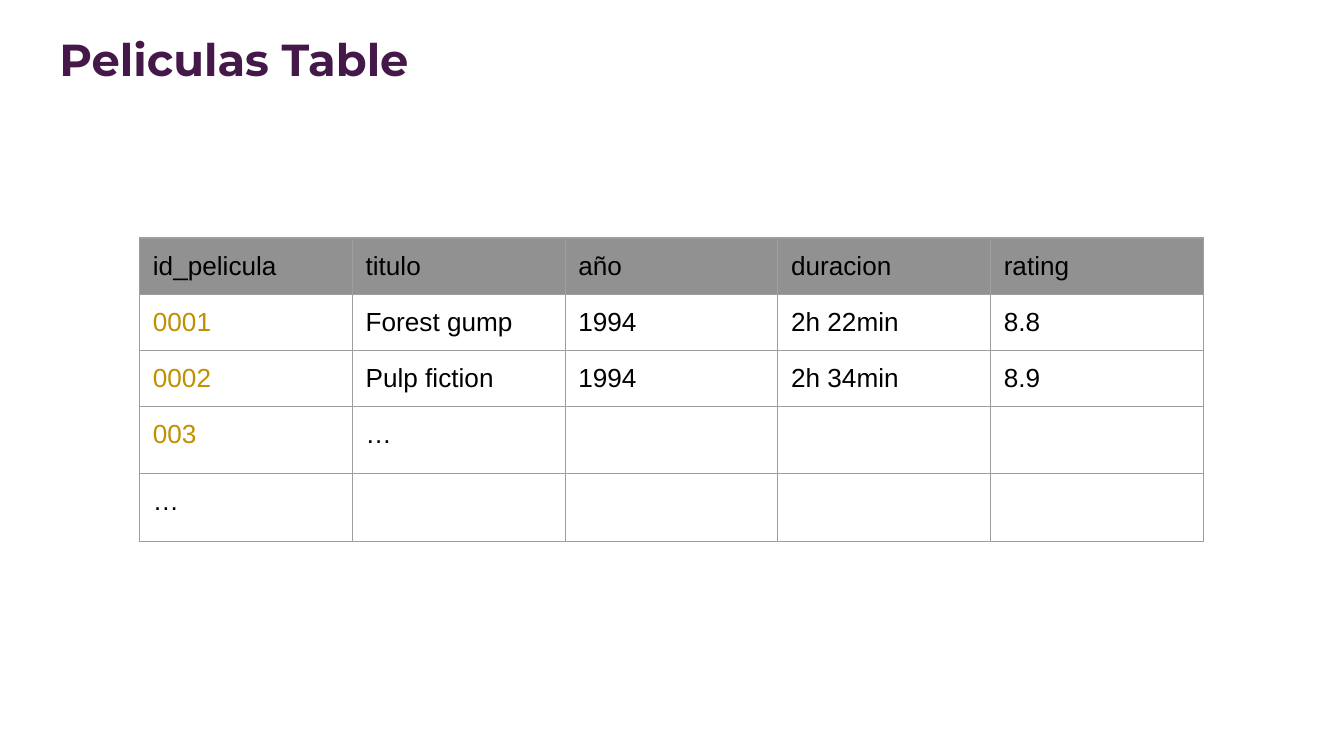
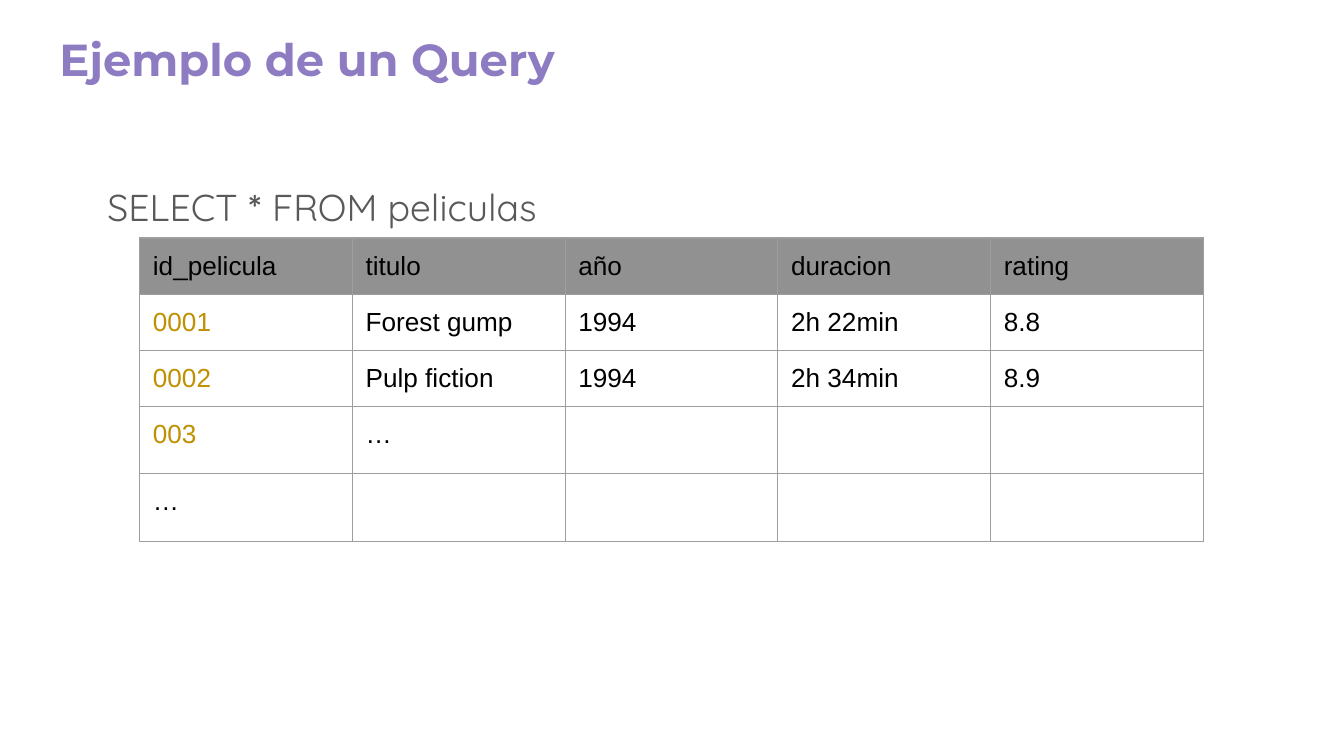
from lxml import etree
from pptx import Presentation
from pptx.dml.color import RGBColor
from pptx.enum.text import MSO_ANCHOR, MSO_AUTO_SIZE, PP_ALIGN
from pptx.oxml.ns import qn
from pptx.util import Cm, Pt

MIDDLE, TOP = MSO_ANCHOR.MIDDLE, MSO_ANCHOR.TOP
LEFT = PP_ALIGN.LEFT
NO_AUTOFIT = MSO_AUTO_SIZE.NONE

WHITE = RGBColor(0xFF, 0xFF, 0xFF)
BLACK = RGBColor(0x00, 0x00, 0x00)
PLUM = RGBColor(0x44, 0x18, 0x48)
LAVENDER = RGBColor(0x8E, 0x7C, 0xC3)
GREY_TEXT = RGBColor(0x59, 0x59, 0x59)
HEADER_GREY = RGBColor(0x43, 0x43, 0x43)
BORDER_GREY = RGBColor(0x9E, 0x9E, 0x9E)
GOLD = RGBColor(0xBF, 0x90, 0x00)

TITLE_FONT, BODY_FONT, TABLE_FONT = "Montserrat", "Quicksand", "Arial"
INSET = Cm(0.25)
HEADER_OPACITY = 58

TITLE_ONLY, TITLE_AND_BODY = 5, 1

# left, top, width, height
TITLE_BOX = (Cm(0.87), Cm(0.31), Cm(23.67), Cm(1.6))
QUERY_BOX = (Cm(1.78), Cm(3.1), Cm(19.56), Cm(10.41))
TABLE_BOX = (Cm(2.64), Cm(4.5), Cm(20.1), Cm(5.3))

MOVIES = [
    ["id_pelicula", "titulo", "año", "duracion", "rating"],
    ["0001", "Forest gump", "1994", "2h 22min", "8.8"],
    ["0002", "Pulp fiction", "1994", "2h 34min", "8.9"],
    ["003", "…", "", "", ""],
    ["…", "", "", "", ""],
]


def add_text(paragraph, text, *, font, size, color, bold=False):
    run = paragraph.add_run()
    run.text = text
    run.font.name = font
    run.font.size = Pt(size)
    run.font.bold = bold
    run.font.color.rgb = color


def place_placeholder(shape, box, anchor):
    """Move a placeholder to the box and return its cleared first paragraph."""
    shape.left, shape.top, shape.width, shape.height = box
    frame = shape.text_frame
    frame.word_wrap = True
    frame.auto_size = NO_AUTOFIT
    frame.vertical_anchor = anchor
    frame.margin_left = frame.margin_right = INSET
    frame.margin_top = frame.margin_bottom = INSET
    paragraph = frame.paragraphs[0]
    paragraph.alignment = LEFT
    paragraph.space_before = Pt(0)
    return paragraph


def add_titled_slide(presentation, layout, title, color):
    slide = presentation.slides.add_slide(presentation.slide_layouts[layout])
    slide.background.fill.solid()
    slide.background.fill.fore_color.rgb = WHITE
    paragraph = place_placeholder(slide.shapes.title, TITLE_BOX, MIDDLE)
    add_text(paragraph, title, font=TITLE_FONT, size=24, color=color, bold=True)
    return slide


def add_query(slide, box, parts):
    """Fill the body with one unbulleted line of (text, bold) parts."""
    paragraph = place_placeholder(slide.placeholders[1], box, TOP)
    paragraph.line_spacing = 1.15
    properties = paragraph._p.get_or_add_pPr()
    properties.set("marL", "0")
    properties.set("indent", "0")
    etree.SubElement(properties, qn("a:buNone"))
    for text, bold in parts:
        add_text(paragraph, text, font=BODY_FONT, size=20, color=GREY_TEXT, bold=bold)


def set_borders(cell, color, width):
    properties = cell._tc.get_or_add_tcPr()
    for side in ("lnL", "lnR", "lnT", "lnB"):
        line = etree.SubElement(properties, qn(f"a:{side}"), w=str(width))
        fill = etree.SubElement(line, qn("a:solidFill"))
        etree.SubElement(fill, qn("a:srgbClr"), val=str(color))


def fill_header(cell):
    cell.fill.solid()
    cell.fill.fore_color.rgb = HEADER_GREY
    color = cell._tc.tcPr.find(f".//{qn('a:solidFill')}[last()]/{qn('a:srgbClr')}[@val='{HEADER_GREY}']")
    etree.SubElement(color, qn("a:alpha"), val=str(HEADER_OPACITY * 1000))


def add_movie_table(slide, box):
    left, top, width, height = box
    frame = slide.shapes.add_table(len(MOVIES), len(MOVIES[0]), left, top, width, height)
    table = frame.table
    table.first_row = table.horz_banding = False
    for row, values in enumerate(MOVIES):
        for column, text in enumerate(values):
            cell = table.cell(row, column)
            cell.margin_left = cell.margin_right = INSET
            cell.margin_top = cell.margin_bottom = INSET
            set_borders(cell, BORDER_GREY, Pt(0.75))
            if row == 0:
                fill_header(cell)
            else:
                cell.fill.background()
            if text:
                is_key = column == 0 and text.isdigit()
                add_text(cell.text_frame.paragraphs[0], text, font=TABLE_FONT,
                         size=14, color=GOLD if is_key else BLACK)


def build_table_slide(presentation):
    slide = add_titled_slide(presentation, TITLE_ONLY, "Peliculas Table", PLUM)
    add_movie_table(slide, TABLE_BOX)


def build_query_slide(presentation):
    slide = add_titled_slide(presentation, TITLE_AND_BODY, "Ejemplo de un Query", LAVENDER)
    add_query(slide, QUERY_BOX, [("SELECT ", False), ("* ", True), ("FROM peliculas", False)])
    add_movie_table(slide, TABLE_BOX)


def main():
    presentation = Presentation()
    presentation.slide_width = Cm(25.4)
    presentation.slide_height = Cm(14.29)
    build_table_slide(presentation)
    build_query_slide(presentation)
    presentation.save("out.pptx")


if __name__ == "__main__":
    main()
